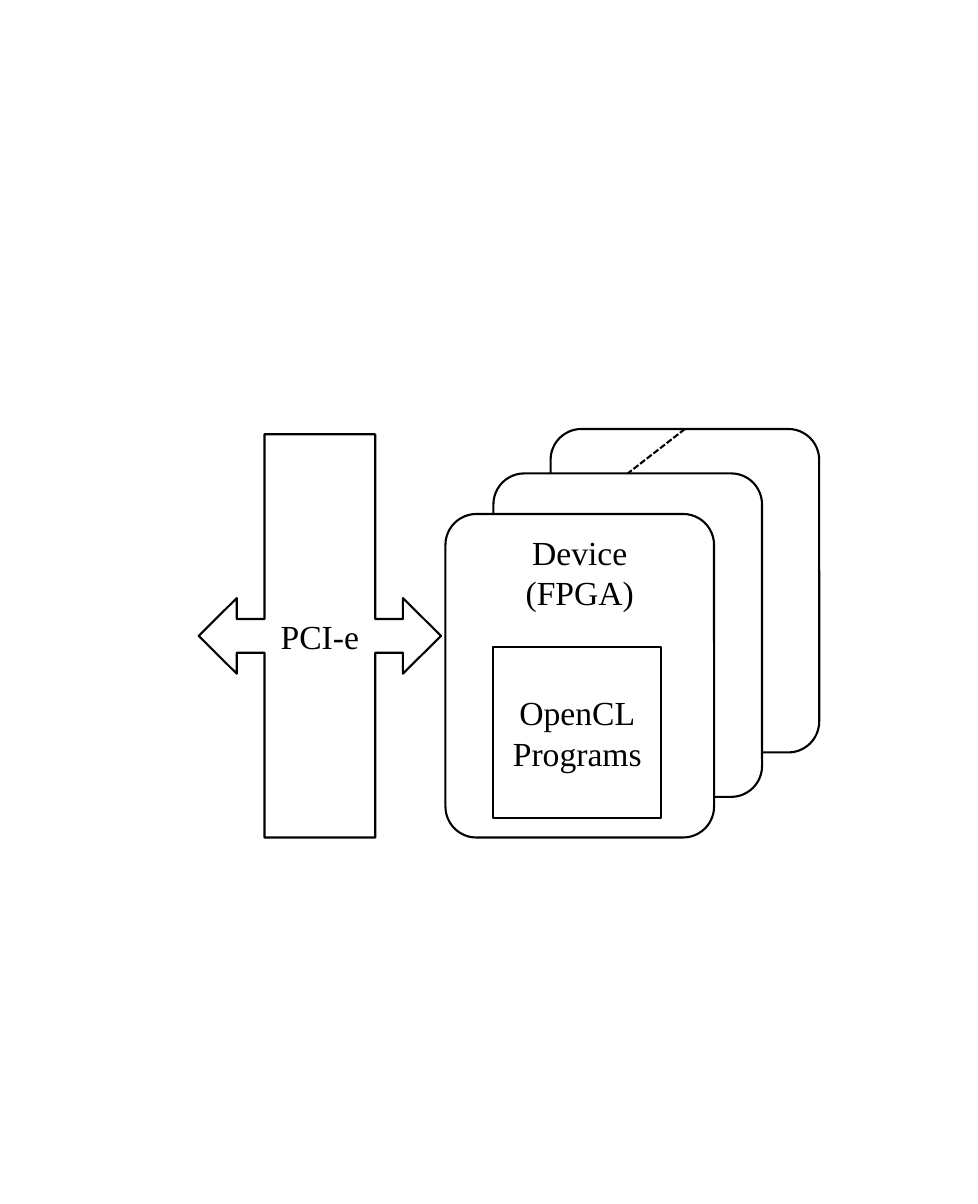
from lxml.etree import SubElement
from pptx import Presentation
from pptx.dml.color import RGBColor
from pptx.enum.dml import MSO_LINE
from pptx.enum.shapes import MSO_CONNECTOR, MSO_SHAPE as Preset
from pptx.enum.text import MSO_ANCHOR, PP_ALIGN
from pptx.oxml.ns import qn
from pptx.util import Cm, Pt

BLACK = RGBColor(0, 0, 0)
WHITE = RGBColor(255, 255, 255)
OUTLINE = Pt(2)
LABEL_FONT = {"name": "Times New Roman", "size": Pt(32.2)}

# Content: wording and boxes as left, top, width, height in cm
DEVICE_SIZE = (9.07, 10.92)
DEVICE_CORNERS = [(18.59, 14.48), (16.66, 15.98), (15.04, 17.35)]  # back to front
DEVICE_LABEL = ["Device", "(FPGA)"]
DEVICE_LABEL_TOP, DEVICE_LABEL_HEIGHT = 17.83, 3
PROGRAMS = (["OpenCL", "Programs"], (16.66, 21.84, 5.66, 5.77))
BUS = (["PCI-e"], (6.71, 14.66, 8.18, 13.61))
DEVICE_ROUNDING = [0.115]
BUS_ARROWS = [0.139, 0.156, 0.157, 0.457]

deck = Presentation()
deck.slide_width, deck.slide_height = Cm(33.02), Cm(40.64)
slide = deck.slides.add_slide(deck.slide_layouts[6])


def write_label(holder, lines, anchor=MSO_ANCHOR.MIDDLE):
    frame = holder.text_frame
    frame.word_wrap = True
    frame.vertical_anchor = anchor
    frame.text = "\n".join(lines)
    for paragraph in frame.paragraphs:
        paragraph.alignment = PP_ALIGN.CENTER
        for attribute, value in LABEL_FONT.items():
            setattr(paragraph.font, attribute, value)
        paragraph.font.color.rgb = BLACK


def add_outlined(preset, box, adjustments=()):
    shape = slide.shapes.add_shape(preset, *map(Cm, box))
    shape.shadow.inherit = False
    shape.fill.solid()
    shape.fill.fore_color.rgb = WHITE
    shape.line.color.rgb = BLACK
    shape.line.width = OUTLINE
    for index, value in enumerate(adjustments):
        shape.adjustments[index] = value
    return shape


# Stack of devices
devices = [add_outlined(Preset.ROUNDED_RECTANGLE, corner + DEVICE_SIZE, DEVICE_ROUNDING)
           for corner in DEVICE_CORNERS]

# Programs inside the front device
program_lines, program_box = PROGRAMS
write_label(add_outlined(Preset.RECTANGLE, program_box), program_lines)

# Label of the front device
front = devices[-1]
device_label = slide.shapes.add_textbox(
    front.left, Cm(DEVICE_LABEL_TOP), front.width, Cm(DEVICE_LABEL_HEIGHT))
write_label(device_label, DEVICE_LABEL, MSO_ANCHOR.TOP)

# Bus with arrows to both sides
bus_lines, bus_box = BUS
bus = add_outlined(Preset.LEFT_RIGHT_ARROW_CALLOUT, bus_box, BUS_ARROWS)
write_label(bus, bus_lines)

# Dashed line between the top centres of the two rear devices
back, middle = devices[:2]
more_devices = slide.shapes.add_connector(MSO_CONNECTOR.STRAIGHT, 0, 0, 0, 0)
more_devices.begin_connect(back, 0)
more_devices.end_connect(middle, 0)
more_devices.line.color.rgb = BLACK
more_devices.line.width = OUTLINE
more_devices.line.dash_style = MSO_LINE.SQUARE_DOT
SubElement(more_devices._element.spPr, qn("a:effectLst"))

deck.save("out.pptx")
